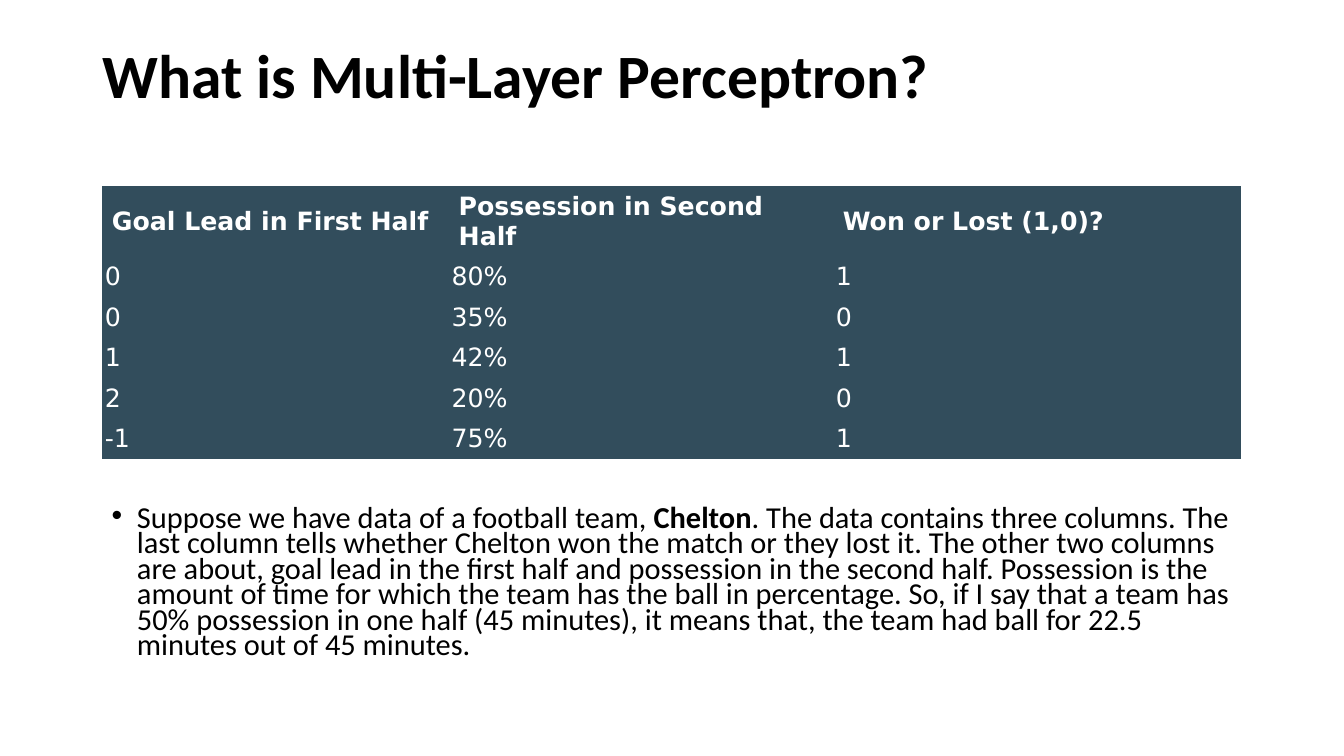
from lxml import etree
from pptx import Presentation
from pptx.dml.color import RGBColor
from pptx.enum.text import MSO_ANCHOR
from pptx.oxml.ns import qn
from pptx.util import Pt

PX = 9144  # 100 px to the inch
MIDDLE = MSO_ANCHOR.MIDDLE
BLACK, WHITE, SLATE = "000000", "FFFFFF", "324D5C"

COLS = [344, 381, 405]
ROWS = [
    ["Goal Lead in First Half", "Possession in Second Half", "Won or Lost (1,0)?"],
    ["0", "80%", "1"],
    ["0", "35%", "0"],
    ["1", "42%", "1"],
    ["2", "20%", "0"],
    ["-1", "75%", "1"],
]
STORY = [
    ("Suppose we have data of a football team, ", False),
    ("Chelton", True),
    (". The data contains three columns. The last column tells whether Chelton "
     "won the match or they lost it. The other two columns are about, goal lead "
     "in the first half and possession in the second half. Possession is the "
     "amount of time for which the team has the ball in percentage. So, if I say "
     "that a team has 50% possession in one half (45 minutes), it means that, the "
     "team had ball for 22.5 minutes out of 45 minutes.", False),
]


def px(*sizes):
    return [size * PX for size in sizes]


def style(font, name, size, color, bold=None):
    font.name, font.size, font.bold = name, Pt(size), bold
    font.color.rgb = RGBColor.from_string(color)


def add_bullet(para, indent):
    props = para._p.get_or_add_pPr()
    props.set("marL", str(indent * PX))
    props.set("indent", str(-indent * PX))
    etree.SubElement(props, qn("a:buFont")).set("typeface", "Arial")
    etree.SubElement(props, qn("a:buChar")).set("char", "•")


def add_text(slide, box, parts, size, spacing, indent=0):
    """Add one paragraph of (text, bold) parts, bulleted if indented."""
    frame = slide.shapes.add_textbox(*px(*box)).text_frame
    frame.word_wrap = True
    para = frame.paragraphs[0]
    if indent:
        add_bullet(para, indent)
    para.line_spacing = spacing
    style(para.font, "Calibri", size, BLACK)
    for text, bold in parts:
        run = para.add_run()
        run.text = text
        run.font.bold = bold


def clear_lines(cell):
    props = cell._tc.get_or_add_tcPr()
    for side in ("lnL", "lnR", "lnT", "lnB"):
        line = etree.SubElement(props, qn("a:" + side))
        etree.SubElement(line, qn("a:noFill"))


def fill_cell(cell, text, head):
    clear_lines(cell)
    cell.fill.solid()
    cell.fill.fore_color.rgb = RGBColor.from_string(SLATE)
    cell.vertical_anchor = MIDDLE
    if not head:
        cell.margin_left = 3 * PX
    cell.text = text
    style(cell.text_frame.paragraphs[0].font, "DejaVu Sans", 18, WHITE, head)


def add_grid(slide, left, top, head, step):
    heights = [head] + [step] * (len(ROWS) - 1)
    box = px(left, top, sum(COLS), sum(heights))
    table = slide.shapes.add_table(len(ROWS), len(COLS), *box).table
    for col, width in zip(table.columns, px(*COLS)):
        col.width = width
    for i, height in enumerate(px(*heights)):
        table.rows[i].height = height
        for j, text in enumerate(ROWS[i]):
            fill_cell(table.cell(i, j), text, i == 0)


def main():
    deck = Presentation()
    deck.slide_width, deck.slide_height = px(1333, 750)
    slide = deck.slides.add_slide(deck.slide_layouts[6])
    title = [("What is Multi-Layer Perceptron?", True)]
    add_text(slide, (92, 40, 1150, 145), title, 44, 0.9)
    add_text(slide, (101, 499, 1141, 178), STORY, 21.7, 0.7, indent=25)
    add_grid(slide, 101, 185, head=64, step=36)
    deck.save("out.pptx")


if __name__ == "__main__":
    main()
